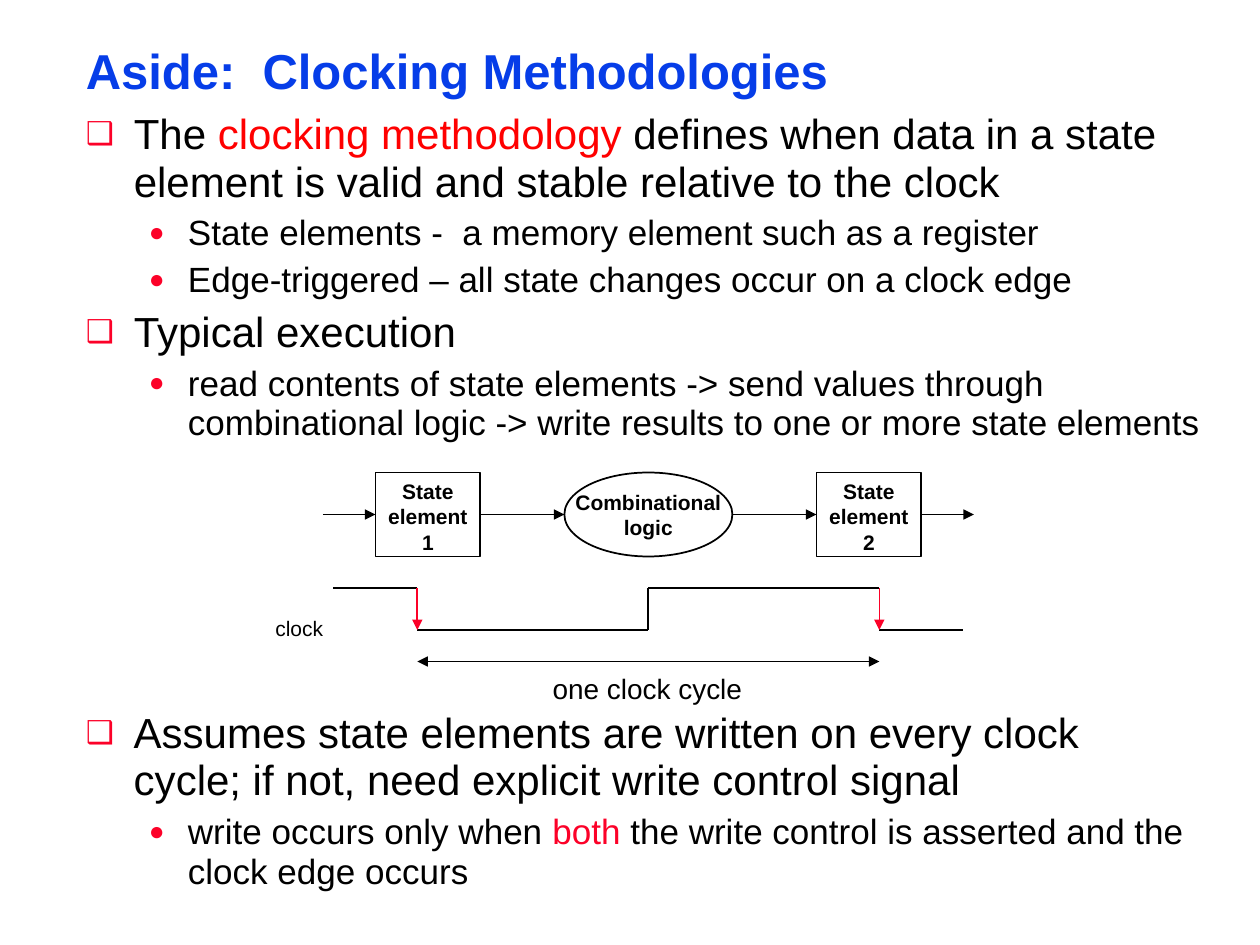
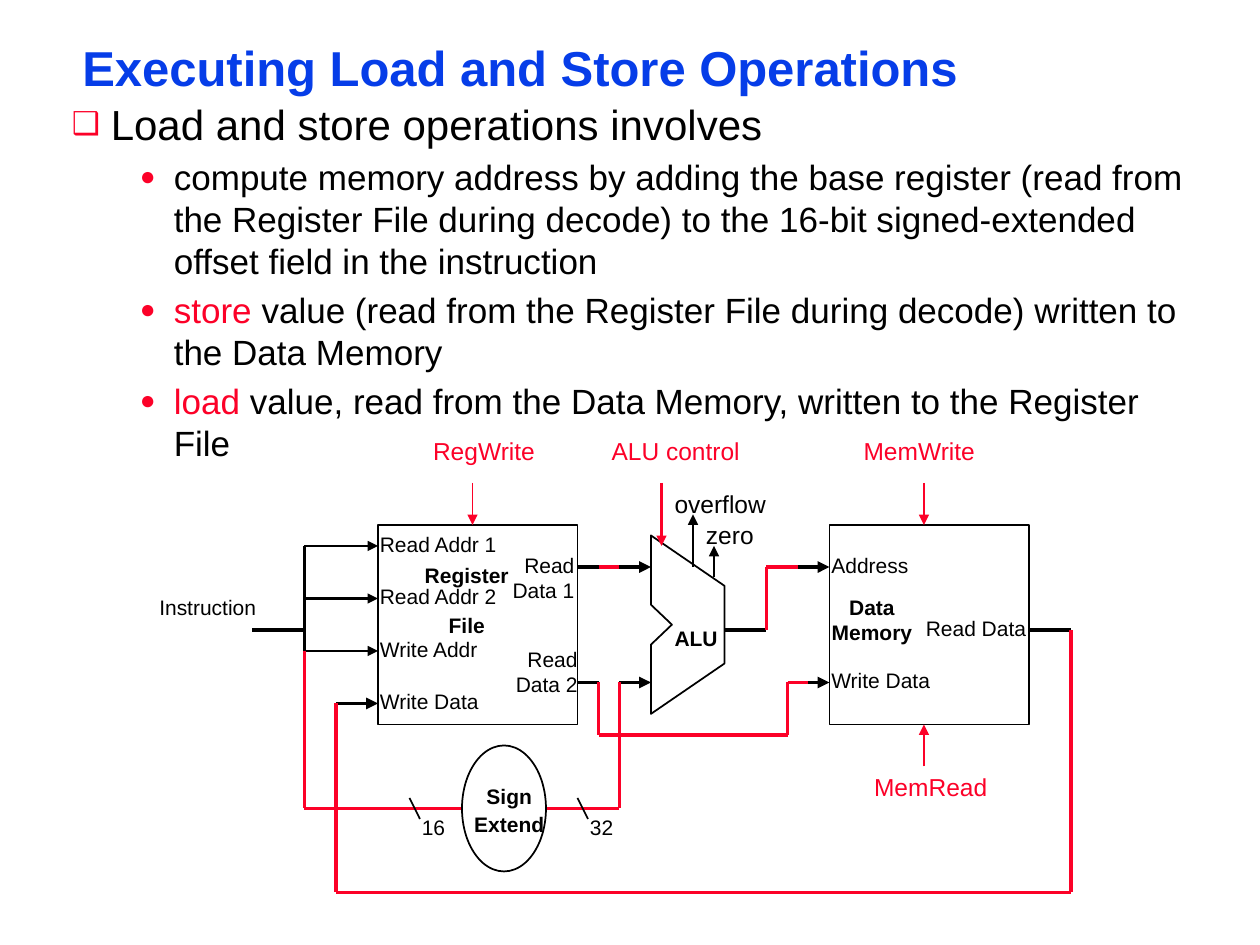
import pptx
import pptx.util
import pptx.dml.color
import pptx.enum.shapes
import pptx.enum.text
import pptx.oxml.ns
from lxml import etree

FONT = "Arial"
BLACK, BLUE, RED, PURE_RED = "000000", "063DE8", "FC0128", "FF0000"
THIN, MEDIUM, THICK = 1, 1.5, 2.25
BULLETS = "❑●"
BODY_SIZES = 24, 20

PP = pptx.enum.text.PP_ALIGN
LEFT, CENTER, RIGHT = PP.LEFT, PP.CENTER, PP.RIGHT
MIDDLE = pptx.enum.text.MSO_ANCHOR.MIDDLE
TOP = pptx.enum.text.MSO_ANCHOR.TOP
RECT = pptx.enum.shapes.MSO_SHAPE.RECTANGLE
OVAL = pptx.enum.shapes.MSO_SHAPE.OVAL
STRAIGHT = pptx.enum.shapes.MSO_CONNECTOR.STRAIGHT


def grid(*cells):
    """Turn grid cells, twelve to the inch, into lengths."""
    return [pptx.util.Inches(c / 12) for c in cells]


def rgb(color):
    return pptx.dml.color.RGBColor.from_string(color)


def sub(parent, tag, **attrs):
    return etree.SubElement(parent, pptx.oxml.ns.qn(tag), attrs)


def write(tf, text, size=12, color=BLACK, bold=False, align=LEFT, spacing=None,
          before=0, accent="", accent_color=RED, level=None, indents=None):
    """Add one paragraph per line; the accent words take their own colour."""
    for line_text in text.split("\n"):
        first = not tf.paragraphs[0].runs
        p = tf.paragraphs[0] if first else tf.add_paragraph()
        p.alignment = align
        if spacing:
            p.line_spacing = spacing
        p.space_before = pptx.util.Pt(0 if first else before)
        if level is not None:
            add_bullet(p, level, *indents[level])
        head, mark, tail = (line_text.partition(accent) if accent
                            else (line_text, "", ""))
        for part, part_color in (head, color), (mark, accent_color), (tail, color):
            if part:
                r = p.add_run()
                r.text = part
                r.font.name = FONT
                r.font.size = pptx.util.Pt(size)
                r.font.bold = bold
                r.font.color.rgb = rgb(part_color)


def add_bullet(p, level, margin, hanging):
    p.level = level
    pPr = p._p.get_or_add_pPr()
    pPr.set("marL", str(pptx.util.Inches(margin)))
    pPr.set("indent", str(-pptx.util.Inches(hanging)))
    sub(sub(pPr, "a:buClr"), "a:srgbClr", val=RED)
    sub(pPr, "a:buSzPct", val="75000")
    sub(pPr, "a:buFont", typeface=FONT)
    sub(pPr, "a:buChar", char=BULLETS[level])


def set_frame(tf, inset_x, inset_y, anchor=TOP, wrap=False):
    tf.margin_left = tf.margin_right = pptx.util.Inches(inset_x)
    tf.margin_top = tf.margin_bottom = pptx.util.Inches(inset_y)
    tf.vertical_anchor = anchor
    tf.word_wrap = wrap


def text_box(slide, box, inset_x=0.1, inset_y=0.05, **frame):
    tf = slide.shapes.add_textbox(*grid(*box)).text_frame
    set_frame(tf, inset_x, inset_y, **frame)
    return tf


def label(slide, box, text, **fmt):
    tf = text_box(slide, box)
    tf.auto_size = pptx.enum.text.MSO_AUTO_SIZE.SHAPE_TO_FIT_TEXT
    write(tf, text, **fmt)


def tight_label(slide, box, text, spacing=18, size=14, **fmt):
    """Label with narrow margins and a fixed line height in points."""
    tf = text_box(slide, box, 0.02, 0.03)
    write(tf, text, size=size, spacing=pptx.util.Pt(spacing), **fmt)


def title(slide, text, height, **frame):
    tf = text_box(slide, (7, 4, 107, height), wrap=True, **frame)
    write(tf, text, size=28, color=BLUE, bold=True, spacing=0.87)


def bullets(slide, box, items, indents, spacing=None, **frame):
    """Items are (level, text) or (level, text, accent[, accent colour])."""
    tf = text_box(slide, box, wrap=True, **frame)
    for level, text, *accent in items:
        size = BODY_SIZES[level]
        write(tf, text, size=size, level=level, indents=indents, spacing=spacing,
              before=size * 0.2, **dict(zip(("accent", "accent_color"), accent)))


def outline(sp):
    sp.shadow.inherit = False
    sp.fill.background()
    sp.line.color.rgb = rgb(BLACK)
    sp.line.width = pptx.util.Pt(THIN)
    return sp


def block(slide, kind, box, text="", **frame):
    sp = outline(slide.shapes.add_shape(kind, *grid(*box)))
    if text:
        set_frame(sp.text_frame, 0, **frame)
        write(sp.text_frame, text, bold=True, align=CENTER)
    return sp


def polygon(slide, points):
    corners = [grid(*pt) for pt in points]
    fb = slide.shapes.build_freeform(*corners[0], scale=1.0)
    fb.add_line_segments(corners[1:], close=True)
    return outline(fb.convert_to_shape())


def line(slide, start, end, color=BLACK, width=THIN, head=False, tail=False):
    c = slide.shapes.add_connector(STRAIGHT, *grid(*start, *end))
    c.line.color.rgb = rgb(color)
    c.line.width = pptx.util.Pt(width)
    ln = c.line._get_or_add_ln()
    if head:
        sub(ln, "a:headEnd", type="triangle")
    if tail:
        sub(ln, "a:tailEnd", type="triangle")
    sub(c._element.spPr, "a:effectLst")
    return c


def arrow(slide, start, end, **style):
    return line(slide, start, end, tail=True, **style)


def wire(slide, *points, color=RED):
    for start, end in zip(points, points[1:]):
        line(slide, start, end, color, THICK)


def clocking_slide(slide):
    title(slide, "Aside:  Clocking Methodologies", 6.1, anchor=MIDDLE)
    style = dict(indents=((0.38, 0.38), (0.81, 0.31)), spacing=0.95)
    bullets(slide, (7, 10, 110, 54.6), [
        (0, "The clocking methodology defines when data in a state element is valid "
            "and stable relative to the clock", "clocking methodology", PURE_RED),
        (1, "State elements -  a memory element such as a register"),
        (1, "Edge-triggered – all state changes occur on a clock edge"),
        (0, "Typical execution"),
        (1, "read contents of state elements -> send values through combinational "
            "logic -> write results to one or more state elements"),
    ], **style)

    top, mid = 45, 49
    state_1, state_2 = [
        block(slide, RECT, (x, top, 10, 8), f"State\nelement\n{n}", inset_y=0.05)
        for n, x in ((1, 35.75), (2, 77.75))]
    block(slide, OVAL, (53.75, top, 16, 8), "Combinational\nlogic",
          inset_y=0, anchor=MIDDLE)
    arrow(slide, (30.75, mid), (35.75, mid)).end_connect(state_1, 1)
    arrow(slide, (45.75, mid), (53.75, mid)).begin_connect(state_1, 3)
    arrow(slide, (69.75, mid), (77.75, mid)).end_connect(state_2, 1)
    arrow(slide, (87.75, mid), (92.75, mid)).begin_connect(state_2, 3)

    high, low = 56, 60
    start, fall_1, rise, fall_2, end = 31.75, 39.75, 61.75, 83.75, 91.75
    for x1, x2, y in ((start, fall_1, high), (fall_1, rise, low),
                      (rise, fall_2, high), (fall_2, end, low)):
        line(slide, (x1, y), (x2, y))
    line(slide, (rise, high), (rise, low))
    for x in fall_1, fall_2:
        arrow(slide, (x, high), (x, low), color=RED)
    arrow(slide, (fall_1, 63), (fall_2, 63), head=True)
    label(slide, (25, 58, 7, 3.6), "clock", align=CENTER)
    label(slide, (51.4, 63.4, 20.5, 4.4), "one clock cycle", size=16, align=CENTER)

    bullets(slide, (7, 67, 108, 20), [
        (0, "Assumes state elements are written on every clock cycle; if not, need "
            "explicit write control signal"),
        (1, "write occurs only when both the write control is asserted and the "
            "clock edge occurs", "both"),
    ], **style)


def register_file(slide):
    block(slide, RECT, (36, 50, 19, 19))
    wire(slide, (24, 60), (29, 60), color=BLACK)
    wire(slide, (29, 52), (29, 62), color=BLACK)
    for y in 52, 57, 62:
        arrow(slide, (29, y), (36, y), width=MEDIUM)
    label(slide, (14, 56, 12, 3.6), "Instruction")
    ports = "Read Addr 1", "Read Addr 2", "Write Addr", "Write Data"
    for i, port in enumerate(ports):
        label(slide, (35, 50 + 5 * i, 14, 3.6), port)
    label(slide, (39.25, 53, 10.4, 8.4), "Register\nFile", bold=True,
          align=CENTER, before=14)
    label(slide, (47, 52, 8.9, 6), "Read\nData 1", align=RIGHT)
    label(slide, (47.3, 61, 8.9, 6), "Read\nData 2", align=RIGHT)


def alu(slide):
    polygon(slide, [(62, 51), (62, 57.6), (64, 59.5), (62, 61.4), (62, 68),
                    (69, 63.2), (69, 55.8)])
    tight_label(slide, (64, 59, 6.6, 4.3), "ALU", spacing=16, size=12, bold=True)
    tight_label(slide, (64, 46, 14, 4), "overflow")
    tight_label(slide, (67, 49, 7, 4), "zero")
    arrow(slide, (66, 54), (66, 49))
    arrow(slide, (68, 55), (68, 52))


def data_memory(slide):
    block(slide, RECT, (79, 50, 19, 19))
    label(slide, (78, 56, 10.1, 6), "Data\nMemory", bold=True, align=CENTER)
    label(slide, (78, 52, 10, 3.6), "Address")
    label(slide, (78, 63, 13, 3.6), "Write Data")
    label(slide, (87, 58, 13, 3.6), "Read Data")


def control_signals(slide):
    for name, x, y, start, end, width in (
            ("RegWrite", 41, 41, (45, 46), (45, 50), THIN),
            ("ALU control", 58, 41, (63, 46), (63, 52), MEDIUM),
            ("MemWrite", 82, 41, (88, 46), (88, 50), THIN),
            ("MemRead", 83, 73, (88, 73), (88, 69), THIN)):
        tight_label(slide, (x, y, 14, 4.3), name, color=RED)
        arrow(slide, start, end, color=RED, width=width)


def data_paths(slide):
    for x1, x2, y in ((69, 73, 60), (55, 57, 65), (55, 57, 54), (98, 102, 60),
                      (40, 44, 77), (52, 56, 77)):
        wire(slide, (x1, y), (x2, y), color=BLACK)
    for x1, x2, y in ((32, 36, 67), (59, 62, 54), (59, 62, 65),
                      (76, 79, 54), (76, 79, 65)):
        arrow(slide, (x1, y), (x2, y), width=THICK)
    wire(slide, (57, 54), (59, 54))
    wire(slide, (73, 60), (73, 54), (76, 54))
    wire(slide, (57, 65), (57, 70), (75, 70), (75, 65), (77, 65))
    wire(slide, (32, 67), (32, 85), (102, 85), (102, 60))
    wire(slide, (29, 62), (29, 77), (44, 77))
    wire(slide, (52, 77), (59, 77), (59, 65))


def sign_extend(slide):
    block(slide, OVAL, (44, 71, 8, 12))
    tight_label(slide, (44, 74, 9, 6), "Sign\nExtend", spacing=16, size=12,
                bold=True, align=CENTER)
    for x, bits in (39, "16"), (55, "32"):
        line(slide, (x, 76), (x + 1, 78))
        label(slide, (x, 77, 5, 3.6), bits)


def load_store_slide(slide):
    insets = dict(inset_x=0.07, inset_y=0.03)
    title(slide, "Executing Load and Store Operations", 5.5, **insets)
    bullets(slide, (6, 9, 109, 35.9), [
        (0, "Load and store operations involves"),
        (1, "compute memory address by adding the base register (read from the "
            "Register File during decode) to the 16-bit signed-extended offset "
            "field in the instruction"),
        (1, "store value (read from the Register File during decode) written to "
            "the Data Memory", "store"),
        (1, "load value, read from the Data Memory, written to the Register File",
         "load"),
    ], indents=((0.31, 0.31), (0.81, 0.27)), **insets)
    for part in (register_file, alu, data_memory, control_signals, data_paths,
                 sign_extend):
        part(slide)


def main():
    prs = pptx.Presentation()
    prs.slide_width, prs.slide_height = grid(120, 90)
    for build in clocking_slide, load_store_slide:
        build(prs.slides.add_slide(prs.slide_layouts[6]))
    prs.save("out.pptx")


if __name__ == "__main__":
    main()
